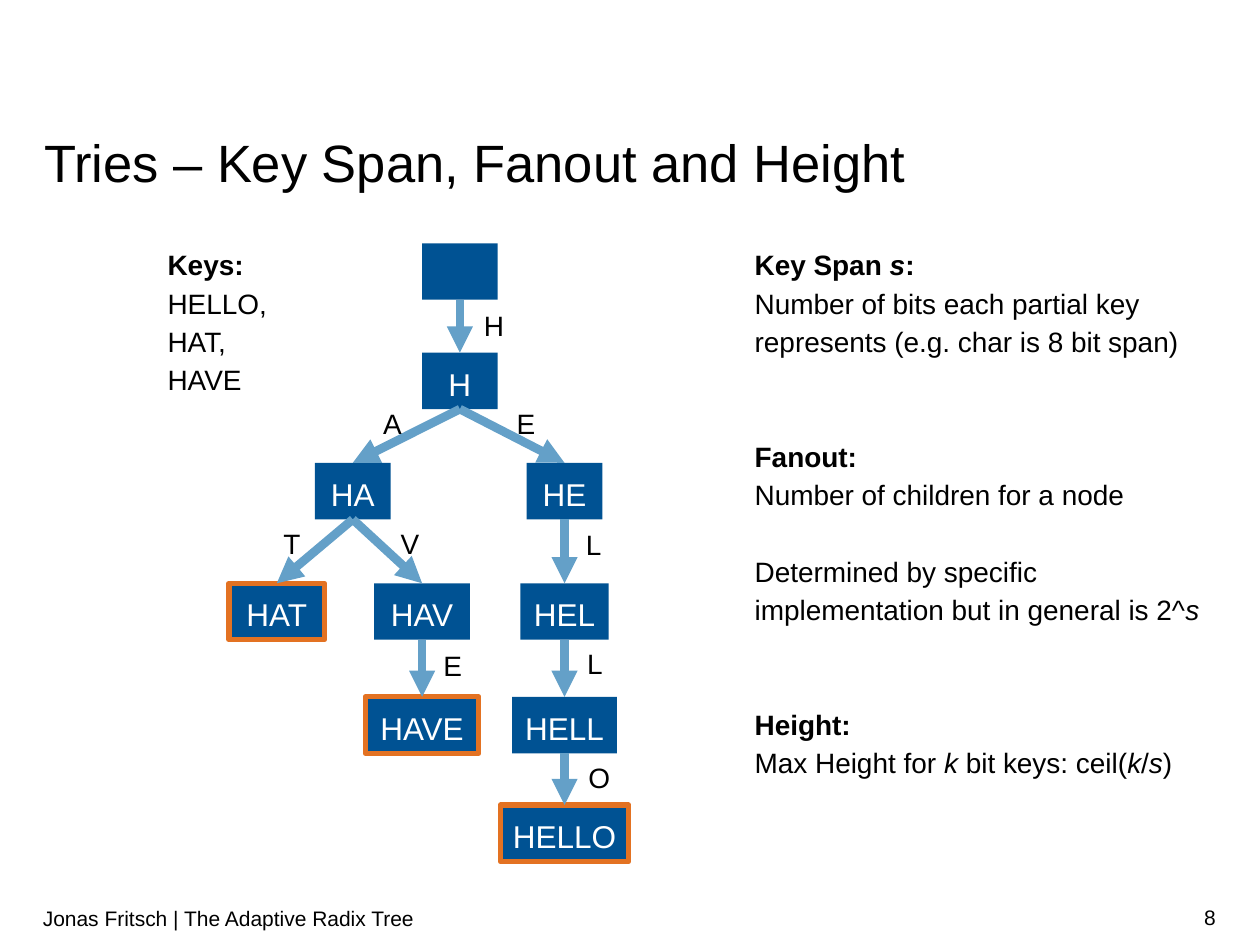
from lxml.etree import SubElement
from pptx import Presentation
from pptx.dml.color import RGBColor
from pptx.enum.shapes import MSO_CONNECTOR, MSO_SHAPE
from pptx.enum.text import MSO_ANCHOR, MSO_AUTO_SIZE, PP_ALIGN
from pptx.oxml.ns import qn
from pptx.util import Pt

BLACK = RGBColor(0x00, 0x00, 0x00)
WHITE = RGBColor(0xFF, 0xFF, 0xFF)
NODE_BLUE = RGBColor(0x00, 0x52, 0x93)
ARROW_BLUE = RGBColor(0x64, 0xA0, 0xC8)
KEY_ORANGE = RGBColor(0xE3, 0x72, 0x22)
FONT = "Arial"
LINE_SPACING = 1.14
BLANK_LINE = 21.9
NODE_HEIGHT = 32.3
ROW_TOPS = [139, 201.5, 264.5, 333.3, 398.2, 460]

TITLE = "Tries – Key Span, Fanout and Height"
FOOTER = "Jonas Fritsch | The Adaptive Radix Tree"
PAGE_NUMBER = "8"

# (blank lines before, runs as (text, style))
KEYS = [
    (0, [("Keys:", "b")]),
    (0, [("HELLO,", "")]),
    (0, [("HAT,", "")]),
    (0, [("HAVE", "")]),
]
DEFINITIONS = [
    (0, [("Key Span ", "b"), ("s", "bi"), (":", "b")]),
    (0, [("Number of bits each partial key represents (e.g. char is 8 bit span)", "")]),
    (2, [("Fanout:", "b")]),
    (0, [("Number of children for a node", "")]),
    (1, [("Determined by specific implementation but in general is 2^", ""), ("s", "i")]),
    (2, [("Height:", "b")]),
    (0, [("Max Height for ", ""), ("k ", "i"), ("bit keys: ceil(", ""),
         ("k", "i"), ("/", ""), ("s", "i"), (")", "")]),
]

# prefix: (center x, width); the row is the prefix length
NODES = {
    "": (262.8, 43.2),
    "H": (262.8, 43.2),
    "HA": (201.6, 43.2),
    "HE": (322.6, 43.2),
    "HAT": (158.2, 54.7),
    "HAV": (241.2, 54.7),
    "HEL": (322.6, 50.4),
    "HAVE": (241.2, 64.8),
    "HELL": (322.6, 59.8),
    "HELLO": (322.6, 73.4),
}
STORED_KEYS = {"HAT", "HAVE", "HELLO"}

# child prefix: (left, top) of the letter beside its arrow
EDGE_LABELS = {
    "H": (276.5, 173.5),
    "HA": (218.9, 229.7),
    "HE": (295.2, 229.7),
    "HAT": (162, 298.1),
    "HAV": (229, 298.1),
    "HEL": (334.8, 298.8),
    "HAVE": (253.4, 367.9),
    "HELL": (335.5, 366.5),
    "HELLO": (336.2, 432),
}


def set_font(paragraph, size, color=BLACK):
    paragraph.font.name = FONT
    paragraph.font.size = Pt(size)
    paragraph.font.color.rgb = color


def add_text(slide, box, paragraphs, size=16, spacing=LINE_SPACING, inset=0,
             align=PP_ALIGN.LEFT, anchor=MSO_ANCHOR.TOP):
    frame = slide.shapes.add_textbox(*map(Pt, box)).text_frame
    frame.word_wrap = True
    frame.vertical_anchor = anchor
    frame.margin_left = frame.margin_right = 0
    frame.margin_top = frame.margin_bottom = Pt(inset)
    for index, (blanks, runs) in enumerate(paragraphs):
        paragraph = frame.add_paragraph() if index else frame.paragraphs[0]
        paragraph.alignment = align
        paragraph.line_spacing = spacing
        paragraph.space_before = Pt(blanks * BLANK_LINE)
        set_font(paragraph, size)
        for text, style in runs:
            run = paragraph.add_run()
            run.text = text
            run.font.bold = "b" in style
            run.font.italic = "i" in style


def add_node(slide, prefix):
    center, width = NODES[prefix]
    node = slide.shapes.add_shape(
        MSO_SHAPE.RECTANGLE, Pt(center - width / 2), Pt(ROW_TOPS[len(prefix)]),
        Pt(width), Pt(NODE_HEIGHT))
    node.shadow.inherit = False
    node.fill.solid()
    node.fill.fore_color.rgb = NODE_BLUE
    if prefix in STORED_KEYS:
        node.line.color.rgb = KEY_ORANGE
        node.line.width = Pt(3)
    else:
        node.line.fill.background()
    if prefix:
        frame = node.text_frame
        frame.word_wrap = False
        frame.vertical_anchor = MSO_ANCHOR.MIDDLE
        paragraph = frame.paragraphs[0]
        paragraph.text = prefix
        paragraph.alignment = PP_ALIGN.CENTER
        paragraph.line_spacing = LINE_SPACING
        set_font(paragraph, 18, WHITE)
    return node


def add_arrow(slide, parent, child):
    arrow = slide.shapes.add_connector(MSO_CONNECTOR.STRAIGHT, 0, 0, 0, 0)
    arrow.begin_connect(parent, 2)
    arrow.end_connect(child, 0)
    arrow.line.color.rgb = ARROW_BLUE
    arrow.line.width = Pt(5)
    SubElement(arrow.line._get_or_add_ln(), qn("a:tailEnd"), type="triangle")
    SubElement(arrow._element.spPr, qn("a:effectLst"))


def place_title(slide):
    title = slide.shapes.title
    title.left, title.top, title.width, title.height = map(Pt, (25.2, 78.5, 670.3, 32.4))
    frame = title.text_frame
    frame.margin_left = frame.margin_right = frame.margin_top = frame.margin_bottom = 0
    frame.vertical_anchor = MSO_ANCHOR.TOP
    frame.auto_size = MSO_AUTO_SIZE.NONE
    paragraph = frame.paragraphs[0]
    paragraph.text = TITLE
    paragraph.alignment = PP_ALIGN.LEFT
    paragraph.line_spacing = Pt(32)
    set_font(paragraph, 30)


def main():
    presentation = Presentation()
    presentation.slide_width, presentation.slide_height = Pt(720), Pt(540)
    slide = presentation.slides.add_slide(presentation.slide_layouts[5])
    place_title(slide)
    add_text(slide, (95.8, 139, 69.1, 370), KEYS)
    add_text(slide, (431.3, 139, 263.5, 370), DEFINITIONS)

    nodes = {prefix: add_node(slide, prefix) for prefix in NODES}
    for prefix, (left, top) in EDGE_LABELS.items():
        add_arrow(slide, nodes[prefix[:-1]], nodes[prefix])
        add_text(slide, (left, top, 16.6, 20.2), [(0, [(prefix[-1], "")])])

    add_text(slide, (24.5, 509.8, 616.3, 30.2), [(0, [(FOOTER, "")])], size=12,
             spacing=1, inset=3.6, anchor=MSO_ANCHOR.MIDDLE)
    add_text(slide, (533.5, 509.8, 161.3, 28.8), [(0, [(PAGE_NUMBER, "")])], size=12,
             spacing=1, inset=3.6, align=PP_ALIGN.RIGHT, anchor=MSO_ANCHOR.MIDDLE)
    presentation.save("out.pptx")


if __name__ == "__main__":
    main()
